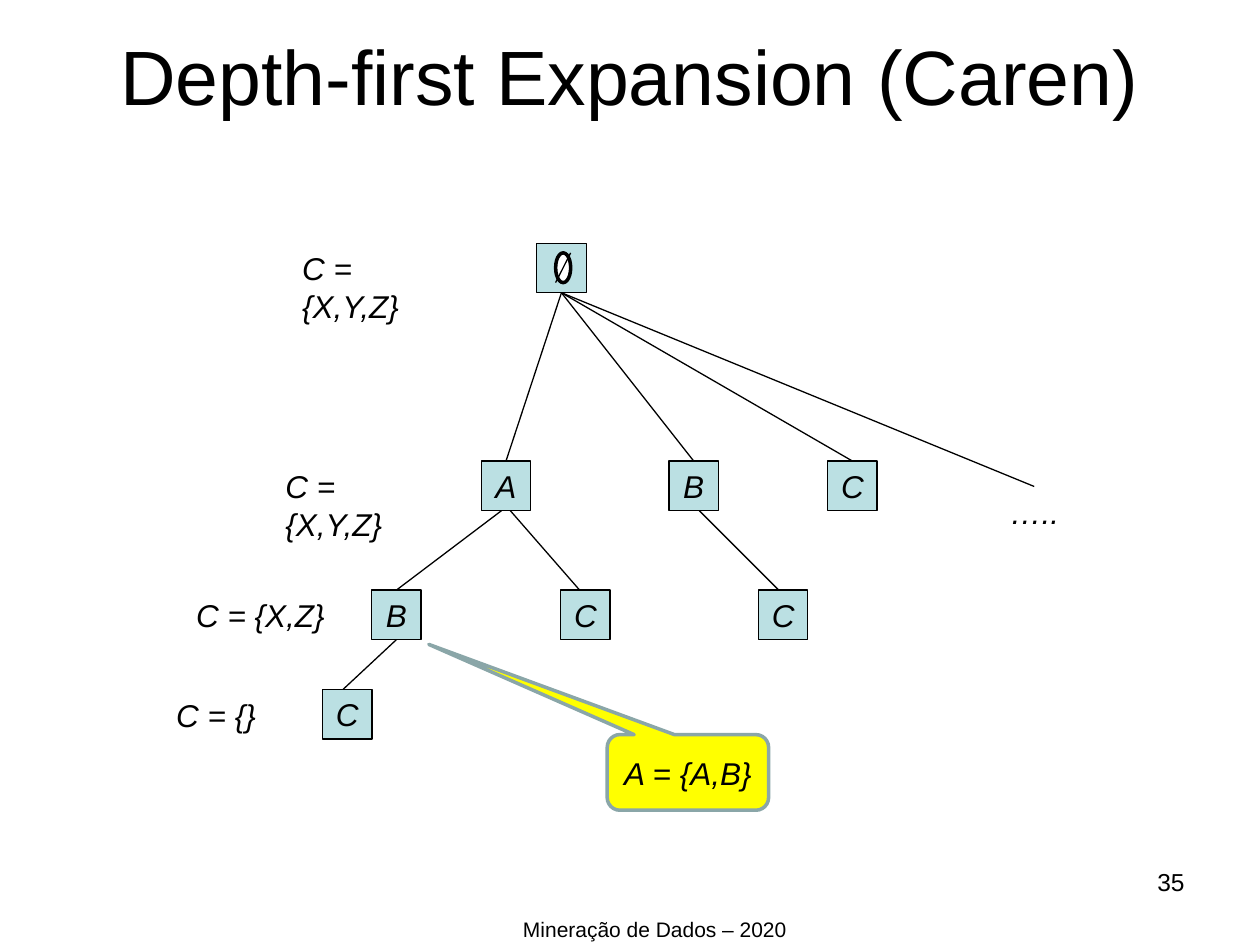
from lxml.etree import SubElement
from pptx import Presentation
from pptx.dml.color import RGBColor
from pptx.enum.shapes import MSO_CONNECTOR, MSO_SHAPE as SHAPE
from pptx.enum.text import MSO_ANCHOR as ANCHOR, MSO_AUTO_SIZE as AUTO, PP_ALIGN as ALIGN
from pptx.oxml.ns import qn
from pptx.util import Pt

BLACK = RGBColor(0x00, 0x00, 0x00)
WHITE = RGBColor(0xFF, 0xFF, 0xFF)
TEAL = RGBColor(0xBB, 0xE0, 0xE3)
YELLOW = RGBColor(0xFF, 0xFF, 0x00)
GREY = RGBColor(0x8A, 0xA6, 0xA8)

NODE = 28.3  # side of a tree node
LEVELS = [139, 263.5, 337.2, 394]  # top of each tree level
TOP, BOTTOM = 0, 2  # connection sites


def write(sp, text, size=18, align=ALIGN.CENTER, italic=True, anchor=ANCHOR.MIDDLE, wrap=False):
    tf = sp.text_frame
    tf.word_wrap = wrap
    tf.vertical_anchor = anchor
    p = tf.paragraphs[0]
    p.text = text
    p.alignment = align
    p.font.name = "Arial"
    p.font.size = Pt(size)
    p.font.italic = italic
    p.font.color.rgb = BLACK


def add_text(s, box, text, **style):
    sp = s.shapes.add_textbox(*map(Pt, box))
    write(sp, text, **style)
    return sp


def add_label(s, x, y, width, text):
    sp = add_text(s, (x, y, width, 29), text, align=ALIGN.LEFT, anchor=ANCHOR.TOP)
    sp.text_frame.auto_size = AUTO.SHAPE_TO_FIT_TEXT


def add_filled(s, kind, box, fill, line=BLACK, weight=0.75):
    sp = s.shapes.add_shape(kind, *map(Pt, box))
    sp.shadow.inherit = False
    sp.fill.solid()
    sp.fill.fore_color.rgb = fill
    sp.line.color.rgb = line
    sp.line.width = Pt(weight)
    return sp


def add_node(s, x, level, text=""):
    sp = add_filled(s, SHAPE.RECTANGLE, (x, LEVELS[level], NODE, NODE), TEAL)
    if text:
        write(sp, text)
    return sp


def add_line(s, start, end, parent=None, child=None):
    line = s.shapes.add_connector(MSO_CONNECTOR.STRAIGHT, *map(Pt, start + end))
    line.line.color.rgb = BLACK
    line.line.width = Pt(0.75)
    SubElement(line._element.spPr, qn("a:effectLst"))
    if parent is not None:
        line.begin_connect(parent, BOTTOM)
    if child is not None:
        line.end_connect(child, TOP)


def add_tree(s):
    root = add_node(s, 306.7, 0)
    a, b, c = [add_node(s, x, 1, name) for x, name in [(275, "A"), (382.3, "B"), (473, "C")]]
    ab = add_node(s, 212.4, 2, "B")
    for x, level in [(320.4, 2), (433.4, 2), (184.3, 3)]:
        add_node(s, x, level, "C")

    # Empty set sign in the root
    add_filled(s, SHAPE.FLOWCHART_CONNECTOR, (317.5, 144.5, 8.6, 17), WHITE, weight=2)
    add_line(s, (317.5, 161.5), (326.1, 144.5))

    # Edges from the root
    root_end = (320.8, LEVELS[0] + NODE)
    for child in (a, b, c):
        add_line(s, root_end, root_end, root, child)
    add_line(s, root_end, (591, 278), root)

    # Edges between the lower levels
    under_a = LEVELS[1] + NODE
    add_line(s, (286.6, under_a), (226.6, LEVELS[2]), child=ab)
    add_line(s, (291.6, under_a), (331.2, LEVELS[2]))
    add_line(s, (399.6, under_a), (445, LEVELS[2]))
    add_line(s, (226.6, LEVELS[2] + NODE), (196, LEVELS[3]), parent=ab)


def add_callout(s):
    sp = add_filled(s, SHAPE.ROUNDED_RECTANGULAR_CALLOUT, (347, 419.8, 92.2, 43.2), YELLOW, GREY, 2)
    for i, value in enumerate((-1.606, -1.694, 0.167)):
        sp.adjustments[i] = value
    write(sp, "A = {A,B}", wrap=True)


def main():
    prs = Presentation()
    prs.slide_width, prs.slide_height = Pt(720), Pt(540)
    s = prs.slides.add_slide(prs.slide_layouts[6])

    # Title, page number and footer
    add_text(s, (36, 9.4, 648, 67), "Depth-first Expansion (Caren)", size=44, italic=False, wrap=True)
    add_text(s, (516, 492, 168, 37.5), "35", size=14, align=ALIGN.RIGHT, italic=False,
             anchor=ANCHOR.TOP, wrap=True)
    add_text(s, (173, 520, 402.5, 16.5), "Mineração de Dados – 2020", size=12, italic=False,
             anchor=ANCHOR.TOP, wrap=True)

    add_tree(s)

    # Candidate sets beside the levels
    labels = [(165.6, 103, "C = {X,Y,Z}"), (156, 103, "C = {X,Y,Z}"),
              (105, 88, "C = {X,Z}"), (93.6, 60, "C = {}")]
    for y, (x, width, text) in zip(LEVELS, labels):
        add_label(s, x, y, width, text)
    add_label(s, 570.2, 278, 42.5, "…..")

    add_callout(s)
    prs.save("out.pptx")


if __name__ == "__main__":
    main()
